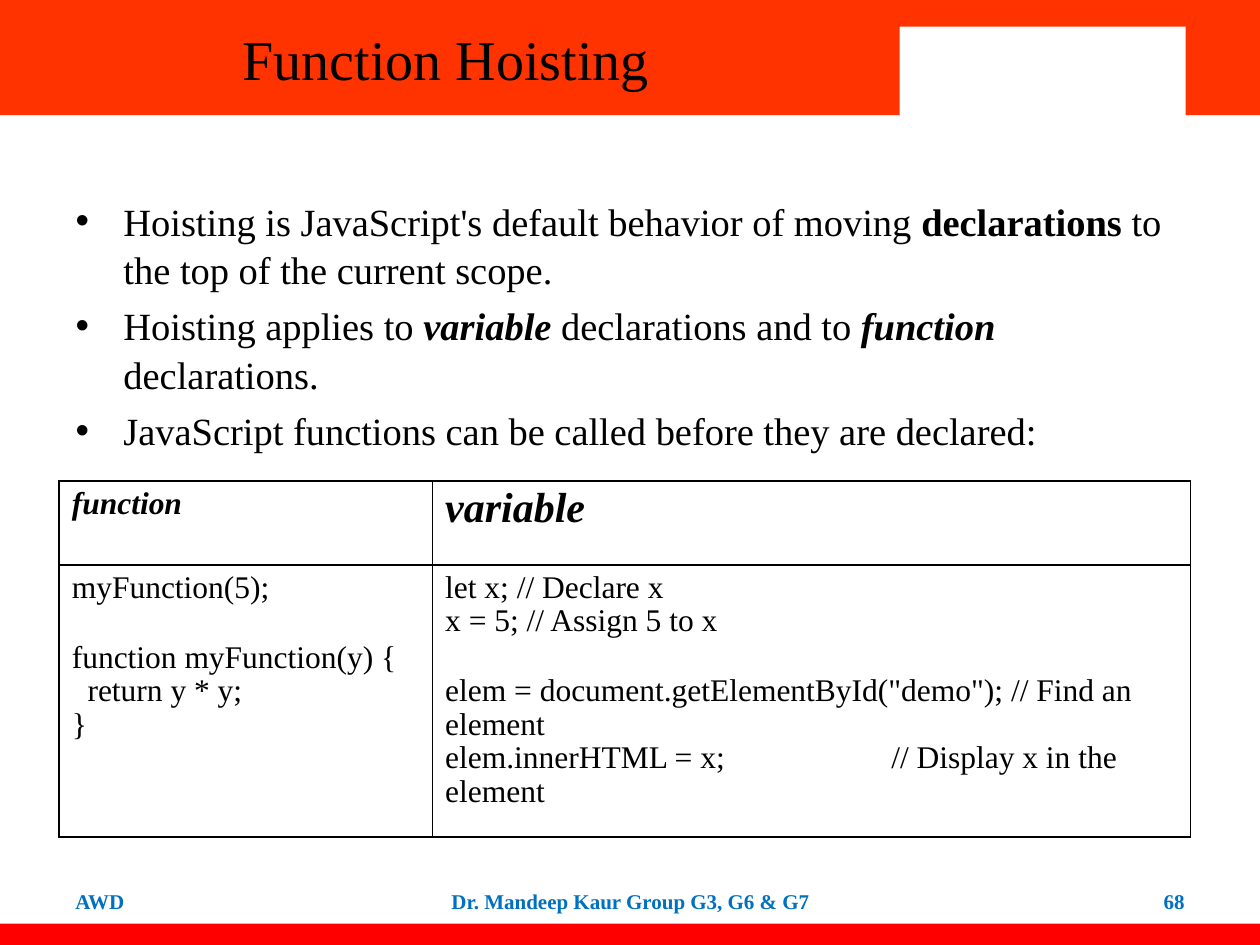
from dataclasses import dataclass

from lxml.etree import SubElement
from pptx import Presentation
from pptx.dml.color import RGBColor
from pptx.enum.shapes import MSO_SHAPE as Preset
from pptx.enum.text import MSO_ANCHOR as Anchor, MSO_AUTO_SIZE as AutoSize, PP_ALIGN as Align
from pptx.oxml.ns import qn
from pptx.util import Inches, Pt


@dataclass(frozen=True)
class Theme:
    font: str = "Times New Roman"
    ink: str = "000000"
    paper: str = "FFFFFF"
    banner: str = "FF3300"
    strip: str = "FF0000"
    footer: str = "0070C0"
    title_size: int = 32
    body_size: int = 22
    heading_size: int = 24
    code_size: int = 18
    footer_size: int = 12


@dataclass(frozen=True)
class Box:
    left: float
    top: float
    width: float
    height: float

    def region(self, left, top, width, height):
        return Box(self.left + left * self.width, self.top + top * self.height,
                   width * self.width, height * self.height)

    def lengths(self):
        return [Inches(n) for n in (self.left, self.top, self.width, self.height)]


THEME = Theme()
SLIDE = Box(0, 0, 10, 7.5)

POINTS = [
    [("Hoisting is JavaScript's default behavior of moving ", {}),
     ("declarations", {"bold": True}),
     (" to the top of the current scope.", {})],
    [("Hoisting applies to ", {}),
     ("variable", {"bold": True, "italic": True}),
     (" declarations and to ", {}),
     ("function", {"bold": True, "italic": True}),
     (" declarations.", {})],
    [("JavaScript functions can be called before they are declared:", {})],
]

FUNCTION_CODE = """myFunction(5);

function myFunction(y) {
\u00a0\u00a0return y * y;
}"""

VARIABLE_CODE = """let x; // Declare x
x = 5; // Assign 5 to x

elem = document.getElementById("demo"); // Find an element
elem.innerHTML = x;\t// Display x in the element"""


def write(para, text, size, color=THEME.ink, bold=False, italic=False, align=None):
    if align is not None:
        para.alignment = align
    for index, line in enumerate(text.split("\n")):
        if index:
            para.add_line_break()
        if line:
            span = para.add_run()
            span.text = line
            span.font.name = THEME.font
            span.font.size = Pt(size)
            span.font.color.rgb = RGBColor.from_string(color)
            span.font.bold = bold
            span.font.italic = italic
    for line_break in para._p.findall(qn("a:br")):
        SubElement(line_break, qn("a:rPr"), sz=str(size * 100))


def place(shape, box):
    shape.left, shape.top, shape.width, shape.height = box.lengths()
    tree = shape.element.getparent()
    tree.append(shape.element)


def add_band(page, box, color):
    band = page.shapes.add_shape(Preset.RECTANGLE, *box.lengths())
    band.shadow.inherit = False
    band.fill.solid()
    band.fill.fore_color.rgb = RGBColor.from_string(color)
    band.line.fill.background()


def add_header(page, box):
    add_band(page, box, THEME.banner)
    add_band(page, box.region(0.714, 0.23, 0.227, 0.81), THEME.paper)
    title = page.shapes.title
    place(title, box.region(0, 0, 0.708, 1))
    title.text_frame.auto_size = AutoSize.NONE
    title.text_frame.vertical_anchor = Anchor.MIDDLE
    write(title.text_frame.paragraphs[0], "Function Hoisting", THEME.title_size,
          align=Align.CENTER)


def add_points(page, box):
    body = page.placeholders[1]
    place(body, box)
    frame = body.text_frame
    frame.auto_size = AutoSize.NONE
    for index, pieces in enumerate(POINTS):
        para = frame.add_paragraph() if index else frame.paragraphs[0]
        para.line_spacing = 1.05
        para.space_before = Pt(0.2 * THEME.body_size)
        props = para._p.get_or_add_pPr()
        props.set("marL", str(Inches(0.38)))
        props.set("indent", str(-Inches(0.38)))
        SubElement(props, qn("a:buFont"), typeface="Arial")
        SubElement(props, qn("a:buChar"), char="•")
        for text, style in pieces:
            write(para, text, THEME.body_size, **style)


def set_borders(cell):
    props = cell._tc.get_or_add_tcPr()
    for index, side in enumerate(("lnL", "lnR", "lnT", "lnB")):
        line = SubElement(props, qn("a:" + side), w=str(Pt(1)))
        fill = SubElement(line, qn("a:solidFill"))
        SubElement(fill, qn("a:srgbClr"), val=THEME.ink)
        props.remove(line)
        props.insert(index, line)


def add_code_table(page, box):
    heading = {"bold": True, "italic": True}
    cells = [
        [("function", THEME.code_size, heading), ("variable", THEME.heading_size, heading)],
        [(FUNCTION_CODE, THEME.code_size, {}), (VARIABLE_CODE, THEME.code_size, {})],
    ]
    table = page.shapes.add_table(2, 2, *box.lengths()).table
    table.first_row = table.horz_banding = False
    for column, share in zip(table.columns, (0.33, 0.67)):
        column.width = Inches(share * box.width)
    for row, share in zip(table.rows, (0.236, 0.764)):
        row.height = Inches(share * box.height)
    for row, contents in zip(table.rows, cells):
        for cell, (text, size, style) in zip(row.cells, contents):
            cell.fill.background()
            set_borders(cell)
            para = cell.text_frame.paragraphs[0]
            para.line_spacing = 0.96
            stops = SubElement(para._p.get_or_add_pPr(), qn("a:tabLst"))
            SubElement(stops, qn("a:tab"), pos=str(Inches(3.54)), algn="l")
            write(para, text, size, **style)


def add_footer(page, box):
    labels = [
        (0.05, 0.233, "AWD", Align.LEFT),
        (0.342, 0.317, "Dr. Mandeep Kaur Group G3, G6 & G7", Align.CENTER),
        (0.717, 0.233, "68", Align.RIGHT),
    ]
    add_band(page, box.region(0, 0.69, 1, 0.31), THEME.strip)
    for left, width, text, align in labels:
        label = page.shapes.add_textbox(*box.region(left, 0, width, 0.73).lengths())
        frame = label.text_frame
        frame.word_wrap = True
        frame.vertical_anchor = Anchor.MIDDLE
        write(frame.paragraphs[0], text, THEME.footer_size, THEME.footer,
              bold=True, align=align)


def build_deck():
    deck = Presentation()
    deck.slide_width, deck.slide_height = Inches(SLIDE.width), Inches(SLIDE.height)
    page = deck.slides.add_slide(deck.slide_layouts[1])
    add_header(page, SLIDE.region(0, 0, 1, 0.122))
    add_points(page, SLIDE.region(0.05, 0.2, 0.9, 0.66))
    add_code_table(page, SLIDE.region(0.047, 0.509, 0.898, 0.377))
    add_footer(page, SLIDE.region(0, 0.927, 1, 0.073))
    deck.save("out.pptx")


build_deck()
